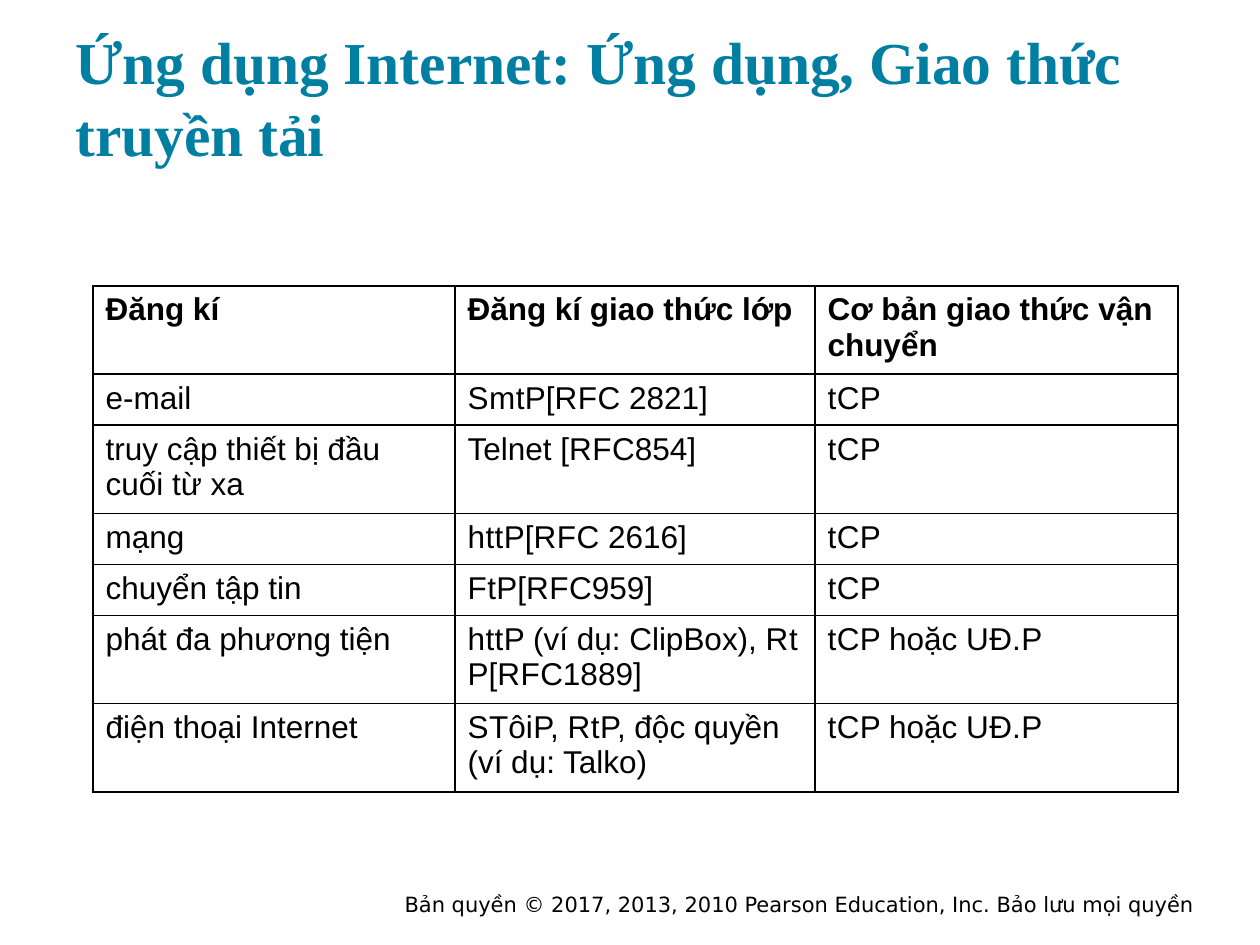
from lxml import etree
from pptx import Presentation
from pptx.dml.color import RGBColor
from pptx.enum.text import MSO_ANCHOR, PP_ALIGN
from pptx.oxml.ns import qn
from pptx.util import Emu, Pt

LEFT, RIGHT = PP_ALIGN.LEFT, PP_ALIGN.RIGHT
MIDDLE, BOTTOM = MSO_ANCHOR.MIDDLE, MSO_ANCHOR.BOTTOM
SCALE = 914400 // 126
INK, TEAL = "000000", "007FA3"
THIN = "|"  # stands for a 1 pt space between the letters of an acronym

TITLE = "Ứng dụng Internet: Ứng dụng, Giao thức truyền tải"
RIGHTS = "Bản quyền © 2017, 2013, 2010 Pearson Education, Inc. Bảo lưu mọi quyền"
TCP = "t|C|P"
EITHER = "t|C|P hoặc U|Đ.|P"
ROWS = [
    ("Đăng kí", "Đăng kí giao thức lớp", "Cơ bản giao thức vận chuyển"),
    ("e-mail", "S|m|t|P[R|F|C 2821]", TCP),
    ("truy cập thiết bị đầu cuối từ xa", "Telnet [R|F|C854]", TCP),
    ("mạng", "h|t|t|P[R|F|C 2616]", TCP),
    ("chuyển tập tin", "F|t|P[R|F|C959]", TCP),
    ("phát đa phương tiện", "h|t|t|P (ví dụ: ClipBox), R|t|P[R|F|C1889]", EITHER),
    ("điện thoại Internet", "S|Tôi|P, R|t|P, độc quyền\n(ví dụ: Talko)", EITHER),
]
WIDTHS = [362, 360, 363]
LOW, TALL = 51, 88
HEIGHTS = [TALL, LOW, TALL, LOW, LOW, TALL, TALL]


def px(count):
    return Emu(count * SCALE)


def color(code):
    return RGBColor.from_string(code)


def write(frame, text, size=18, font="Arial", ink=INK, bold=False, align=LEFT):
    """Fill a frame: a line break starts a paragraph, THIN a tiny space."""
    for row, line in enumerate(text.split("\n")):
        para = frame.add_paragraph() if row else frame.paragraphs[0]
        para.alignment = align
        for step, part in enumerate(line.split(THIN)):
            pairs = [(" ", 1), (part, size)] if step else [(part, size)]
            for piece, points in pairs:
                run = para.add_run()
                run.text = piece
                run.font.size = Pt(points)
                run.font.name = font
                run.font.bold = bold
                run.font.color.rgb = color(ink)


def border(cell, ink=INK, points=1):
    """Draw all four sides of a cell, ahead of its fill."""
    props = cell._tc.get_or_add_tcPr()
    for spot, side in enumerate(("lnL", "lnR", "lnT", "lnB")):
        line = etree.Element(qn("a:" + side), w=str(Pt(points)))
        fill = etree.SubElement(line, qn("a:solidFill"))
        etree.SubElement(fill, qn("a:srgbClr"), val=ink)
        props.insert(spot, line)


class Deck:
    """Holds the presentation and the current slide."""

    def __init__(self, wide, high):
        self.file = Presentation()
        self.file.slide_width, self.file.slide_height = px(wide), px(high)
        self.slide = self.file.slides.add_slide(self.file.slide_layouts[6])

    def label(self, text, box, anchor, pad, **style):
        frame = self.slide.shapes.add_textbox(*map(px, box)).text_frame
        frame.word_wrap = True
        frame.vertical_anchor = anchor
        frame.margin_top = frame.margin_bottom = px(pad)
        write(frame, text, **style)

    def table(self, rows, left, top, widths, heights):
        box = map(px, (left, top, sum(widths), sum(heights)))
        grid = self.slide.shapes.add_table(len(rows), len(widths), *box).table
        grid.horz_banding = False
        for column, width in zip(grid.columns, widths):
            column.width = px(width)
        for row, height in zip(grid.rows, heights):
            row.height = px(height)
        for r, texts in enumerate(rows):
            for c, text in enumerate(texts):
                cell = grid.cell(r, c)
                cell.fill.background()
                border(cell)
                write(cell.text_frame, text, bold=r == 0)


def main():
    deck = Deck(1260, 945)
    deck.label(RIGHTS, (368, 888, 839, 32), MIDDLE, 0,
               size=12, font="DejaVu Sans", align=RIGHT)
    deck.label(TITLE, (63, 11, 1134, 170), BOTTOM, 13,
               size=34, font="Times New Roman", ink=TEAL, bold=True)
    deck.table(ROWS, 93, 286, WIDTHS, HEIGHTS)
    deck.file.save("out.pptx")


if __name__ == "__main__":
    main()
